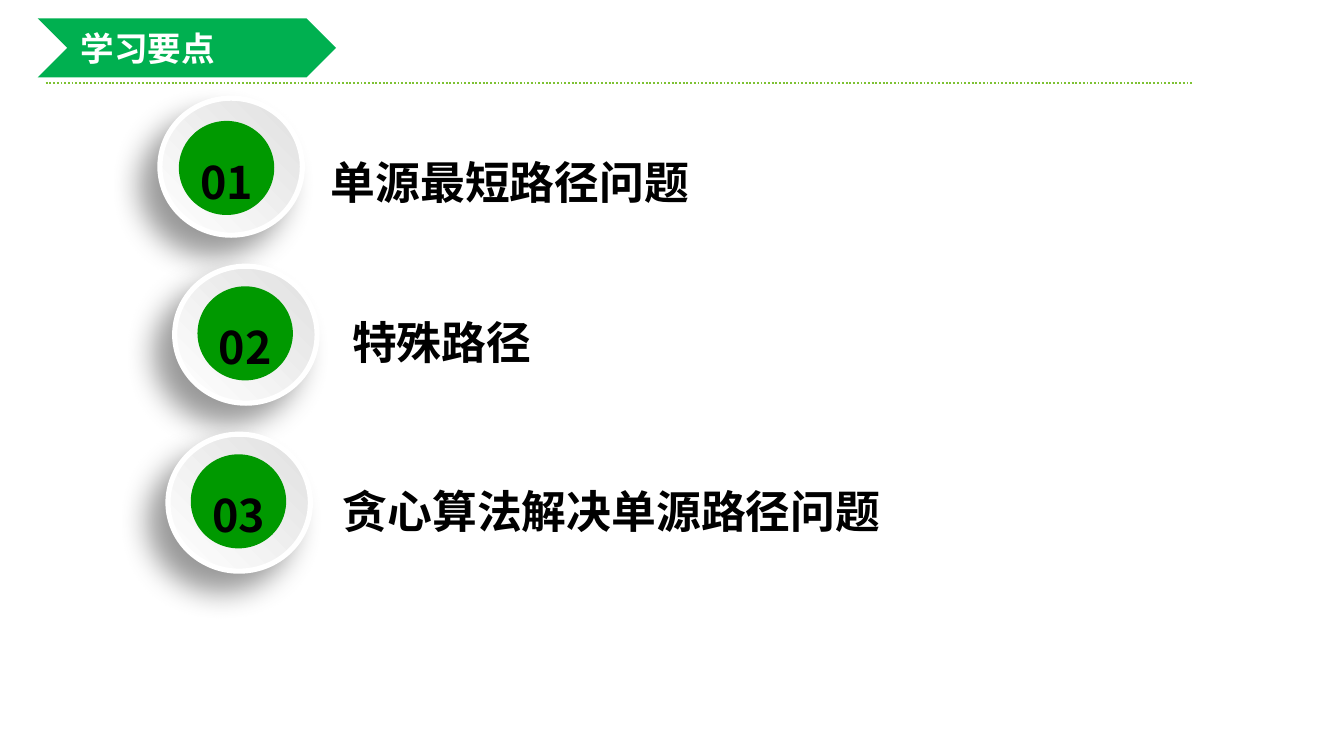
from lxml import etree
from pptx import Presentation
from pptx.dml.color import RGBColor
from pptx.enum import dml, shapes, text
from pptx.oxml import parse_xml
from pptx.oxml.ns import nsdecls, qn
from pptx.util import Pt

FONT = "Noto Sans CJK SC"
FIRST_DISC_TOP, DISC_PITCH = 52.6, 90

# number, disc left, core offset in the disc, topic, topic left, top and width
POINTS = [
    ("01", 85.7, (10.1, 12.2), "单源最短路径问题", (167.8, 68.4, 288)),
    ("02", 93.6, (12.2, 10.8), "特殊路径", (179.3, 154.1, 204.5)),
    ("03", 90, (12.2, 10.8), "贪心算法解决单源路径问题", (174.2, 244.8, 323.3)),
]


def color(hex_code):
    return RGBColor.from_string(hex_code)


def write(frame, words, size, hex_code, align, spacing=1):
    frame.text = words
    frame.word_wrap = True
    paragraph = frame.paragraphs[0]
    paragraph.alignment = align
    paragraph.line_spacing = spacing
    font = paragraph.runs[0].font
    font.name, font.size, font.bold = FONT, Pt(size), True
    font.color.rgb = color(hex_code)
    east_asian = etree.SubElement(paragraph.runs[0]._r.get_or_add_rPr(), qn("a:ea"))
    east_asian.set("typeface", FONT)


def set_margins(frame, side):
    frame.margin_left = frame.margin_right = Pt(side)
    frame.margin_top = frame.margin_bottom = 0


def add_filled(slide, kind, left, top, width, height, hex_code):
    shape = slide.shapes.add_shape(kind, Pt(left), Pt(top), Pt(width), Pt(height))
    shape.shadow.inherit = False
    shape.fill.solid()
    shape.fill.fore_color.rgb = color(hex_code)
    shape.line.fill.background()
    return shape


def add_disc(slide, left, top):
    """Raised disc: grey-to-white gradient, white rim, shadow to the lower left."""
    disc = add_filled(slide, shapes.MSO_SHAPE.OVAL, left, top, 76.3, 73.4, "FFFFFF")
    disc.fill.gradient()
    disc.fill.gradient_angle = 225
    for stop, hex_code, position in zip(disc.fill.gradient_stops, ("E0E0E0", "FFFFFF"), (0, 1)):
        stop.color.rgb = color(hex_code)
        stop.position = position
    disc.line.color.rgb = color("FFFFFF")
    disc.line.width = Pt(2.75)
    effects = disc._element.spPr.find(qn("a:effectLst"))
    effects.append(parse_xml(
        f'<a:outerShdw {nsdecls("a")} blurRad="{Pt(16)}" dist="{Pt(14)}" dir="8100000" '
        'algn="tr" rotWithShape="0"><a:srgbClr val="000000"><a:alpha val="40000"/>'
        '</a:srgbClr></a:outerShdw>'))


def add_core(slide, number, left, top):
    core = add_filled(slide, shapes.MSO_SHAPE.OVAL, left, top, 51.1, 50.4, "009900")
    set_margins(core.text_frame, 0)
    core.text_frame.vertical_anchor = text.MSO_ANCHOR.MIDDLE
    write(core.text_frame, number, 24, "000000", text.PP_ALIGN.CENTER, 1.5)


def add_topic(slide, topic, left, top, width):
    box = slide.shapes.add_textbox(Pt(left), Pt(top), Pt(width), Pt(50.4))
    set_margins(box.text_frame, 9.4)
    write(box.text_frame, topic, 24, "000000", text.PP_ALIGN.LEFT, 1.5)


def add_header(slide, words):
    rule = slide.shapes.add_connector(
        shapes.MSO_CONNECTOR.STRAIGHT, Pt(24.5), Pt(44.6), Pt(639.4), Pt(44.6))
    rule.line.color.rgb = color("7EC234")
    rule.line.width = Pt(1)
    rule.line.dash_style = dml.MSO_LINE.ROUND_DOT
    etree.SubElement(rule._element.spPr, qn("a:effectLst"))

    add_filled(slide, shapes.MSO_SHAPE.CHEVRON, 20.2, 9.8, 159.8, 31.7, "00B050")

    title = slide.shapes.title
    title.left, title.top, title.width, title.height = Pt(36), Pt(9.8), Pt(128), Pt(31.7)
    title.text_frame.auto_size = text.MSO_AUTO_SIZE.NONE
    title.text_frame.vertical_anchor = text.MSO_ANCHOR.MIDDLE
    write(title.text_frame, words, 18, "FFFFFF", text.PP_ALIGN.LEFT)
    slide.shapes._spTree.append(title._element)  # in front of the chevron


def main():
    deck = Presentation()
    deck.slide_width, deck.slide_height = Pt(720), Pt(405)
    slide = deck.slides.add_slide(deck.slide_layouts[5])
    add_header(slide, "学习要点")
    for index, (number, left, (core_dx, core_dy), topic, topic_place) in enumerate(POINTS):
        top = FIRST_DISC_TOP + index * DISC_PITCH
        add_disc(slide, left, top)
        add_core(slide, number, left + core_dx, top + core_dy)
        add_topic(slide, topic, *topic_place)
    deck.save("out.pptx")


if __name__ == "__main__":
    main()
